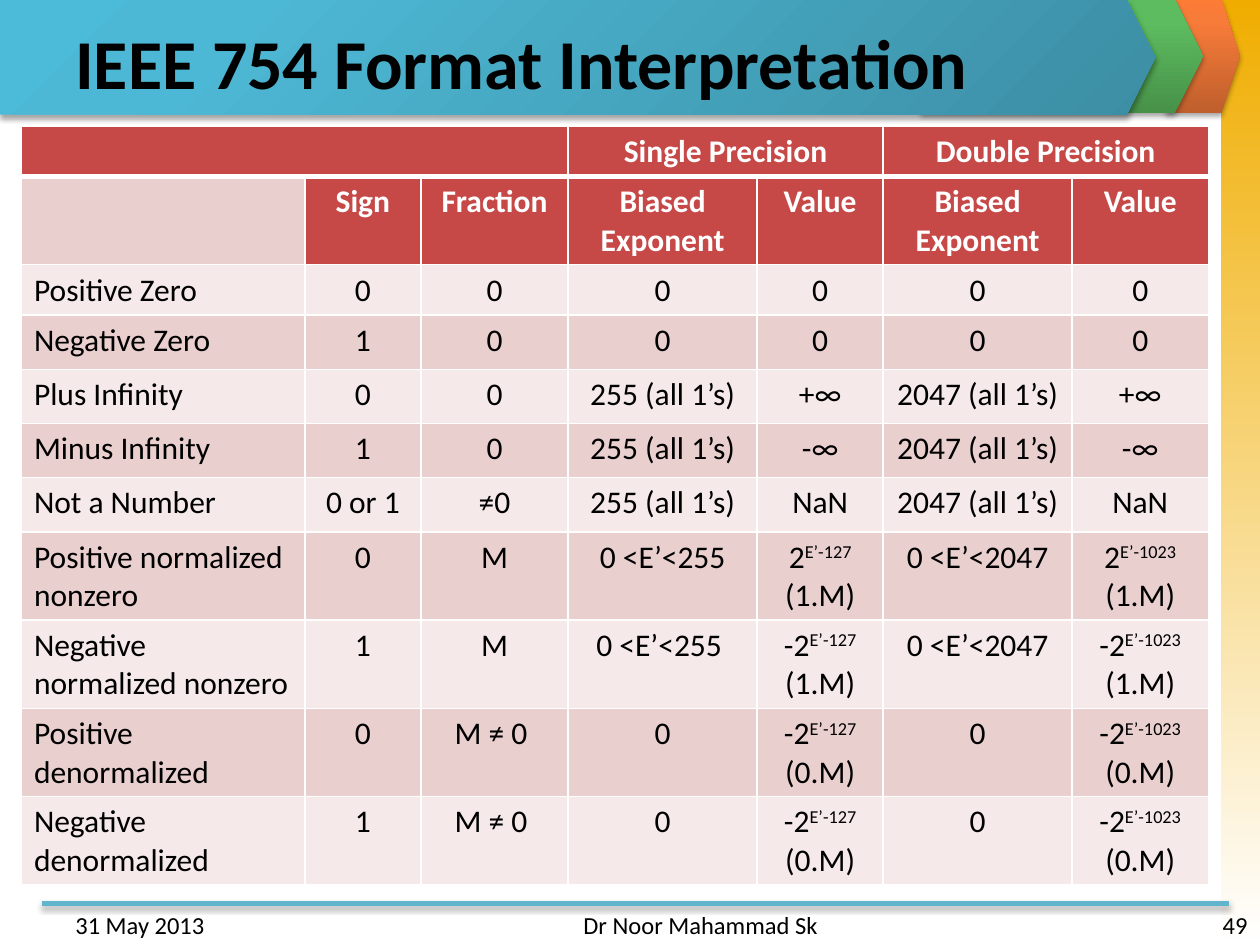
"""Build the slide on interpreting the IEEE 754 number format."""
from lxml import etree
from pptx import Presentation
from pptx.dml.color import RGBColor
from pptx.enum.shapes import MSO_CONNECTOR, MSO_SHAPE
from pptx.enum.text import MSO_ANCHOR, PP_ALIGN
from pptx.oxml import parse_xml
from pptx.util import Inches, Pt

BLACK = RGBColor(0x00, 0x00, 0x00)
WHITE = RGBColor(0xFF, 0xFF, 0xFF)
RED = RGBColor(0xC6, 0x48, 0x47)
ROSE = RGBColor(0xEA, 0xCF, 0xCF)
PALE = RGBColor(0xF5, 0xE9, 0xE9)
TEAL = RGBColor(0x60, 0xB5, 0xCC)
GOLD_FADE = ((0, RGBColor(0xF0, 0xAD, 0x00)), (100, WHITE))
ORANGE_FADE = ((0, RGBColor(0xBE, 0x5F, 0x2C)), (80, RGBColor(0xF7, 0x7B, 0x39)),
               (100, RGBColor(0xFC, 0x7B, 0x35)))
GREEN_FADE = ((0, RGBColor(0x47, 0x91, 0x49)), (80, RGBColor(0x5D, 0xBC, 0x5F)),
              (100, RGBColor(0x5B, 0xBF, 0x5E)))
BLUE_FADE = ((0, RGBColor(0x3C, 0x8E, 0xA4)), (80, RGBColor(0x4D, 0xB8, 0xD5)),
             (100, RGBColor(0x4B, 0xBB, 0xD9)))
NS = 'xmlns:a="http://schemas.openxmlformats.org/drawingml/2006/main"'
SHADOW = (f'<a:effectLst {NS}><a:outerShdw blurRad="39370" dist="22860" dir="5400000" '
          'rotWithShape="0"><a:srgbClr val="000000"><a:alpha val="35000"/></a:srgbClr>'
          '</a:outerShdw></a:effectLst>')
DOWN = '<a:lin ang="5400000" scaled="0"/>'
UP = '<a:lin ang="16200000" scaled="0"/>'
FROM_CORNER = '<a:path path="circle"><a:fillToRect l="100000" t="100000"/></a:path>'


def write(frame, text, size, color, bold, align):
    for index, line in enumerate(text.split("\n")):
        paragraph = frame.paragraphs[0] if index == 0 else frame.add_paragraph()
        paragraph.alignment = align
        for level, part in enumerate(line.split("^")):
            run = paragraph.add_run()
            run.text = part
            run.font.name = "Calibri"
            run.font.size = Pt(size)
            run.font.bold = bold
            run.font.color.rgb = color
            if level:
                run.font._element.set("baseline", "30000")


prs = Presentation()
prs.slide_width, prs.slide_height = Inches(10), Inches(7.5)
slide = prs.slides.add_slide(prs.slide_layouts[6])

side_bar = (MSO_SHAPE.RECTANGLE, 9.69, 0, 0.31, 7.5, GOLD_FADE, DOWN)
orange_arrow = (MSO_SHAPE.PENTAGON, 9.25, -0.01, 0.59, 0.91, ORANGE_FADE, UP)
green_arrow = (MSO_SHAPE.PENTAGON, 7.31, -0.01, 2.24, 0.91, GREEN_FADE, UP)
title_arrow = (MSO_SHAPE.PENTAGON, 0, 0, 9.17, 0.91, BLUE_FADE, FROM_CORNER)
for preset, left, top, width, height, fade, direction in (
        side_bar, orange_arrow, green_arrow, title_arrow):
    band = slide.shapes.add_shape(preset, Inches(left), Inches(top),
                                  Inches(width), Inches(height))
    band.shadow.inherit = False
    band.line.fill.background()
    stops = "".join(f'<a:gs pos="{place * 1000}"><a:srgbClr val="{color}"/></a:gs>'
                    for place, color in fade)
    properties = band._element.spPr
    properties.insert(2, parse_xml(
        f'<a:gradFill {NS} rotWithShape="1"><a:gsLst>{stops}</a:gsLst>{direction}</a:gradFill>'))
    if preset == MSO_SHAPE.PENTAGON:
        band.adjustments[0] = 0.25
        properties.remove(properties[-1])
        properties.append(parse_xml(SHADOW))

footer_rule = slide.shapes.add_connector(MSO_CONNECTOR.STRAIGHT, Inches(0.33), Inches(7.17),
                                         Inches(9.75), Inches(7.17))
footer_rule.line.color.rgb = TEAL
footer_rule.line.width = Pt(3)
footer_rule._element.spPr.append(parse_xml(SHADOW))

for text, left, top, width, height, size, bold, align, anchor in (
        ("IEEE 754 Format Interpretation", 0.5, 0.14, 9, 0.69, 40, True,
         PP_ALIGN.LEFT, MSO_ANCHOR.MIDDLE),
        ("31 May 2013", 0.5, 7.17, 2.33, 0.25, 14, False, PP_ALIGN.LEFT, MSO_ANCHOR.TOP),
        ("Dr Noor Mahammad Sk", 3.42, 7.17, 3.17, 0.25, 14, False,
         PP_ALIGN.RIGHT, MSO_ANCHOR.TOP),
        ("49", 7.67, 7.17, 2.33, 0.25, 14, False, PP_ALIGN.RIGHT, MSO_ANCHOR.TOP)):
    label = slide.shapes.add_textbox(Inches(left), Inches(top), Inches(width), Inches(height))
    label.text_frame.word_wrap = True
    label.text_frame.vertical_anchor = anchor
    write(label.text_frame, text, size, BLACK, bold, align)

ROWS = (
    ("", "", "", "Single Precision", "", "Double Precision", ""),
    ("", "Sign", "Fraction", "Biased Exponent", "Value", "Biased\nExponent", "Value"),
    ("Positive Zero", "0", "0", "0", "0", "0", "0"),
    ("Negative Zero", "1", "0", "0", "0", "0", "0"),
    ("Plus Infinity", "0", "0", "255 (all 1’s)", "+∞", "2047 (all 1’s)", "+∞"),
    ("Minus Infinity", "1", "0", "255 (all 1’s)", "-∞", "2047 (all 1’s)", "-∞"),
    ("Not a Number", "0 or 1", "≠0", "255 (all 1’s)", "NaN", "2047 (all 1’s)", "NaN"),
    ("Positive normalized nonzero", "0", "M", "0 <E’<255", "2^E’-127\n(1.M)",
     "0 <E’<2047", "2^E’-1023\n(1.M)"),
    ("Negative normalized nonzero", "1", "M", "0 <E’<255 ", "-2^E’-127\n(1.M)",
     "0 <E’<2047", "-2^E’-1023\n(1.M)"),
    ("Positive denormalized", "0", "M ≠ 0 ", "0", "-2^E’-127\n(0.M)", "0", "-2^E’-1023\n(0.M)"),
    ("Negative denormalized", "1", "M ≠ 0 ", "0", "-2^E’-127\n(0.M)", "0", "-2^E’-1023\n(0.M)"),
)
COLUMN_WIDTHS = (2.25, 0.92, 1.17, 1.5, 1, 1.5, 1.08)
ROW_HEIGHTS = (0.37, 0.66, 0.37) + (0.43,) * 8
formats = slide.shapes.add_table(len(ROWS), len(COLUMN_WIDTHS), Inches(0.17), Inches(1),
                                 Inches(9.42), Inches(6.02)).table
for column, width in zip(formats.columns, COLUMN_WIDTHS):
    column.width = Inches(width)
for row, height in zip(formats.rows, ROW_HEIGHTS):
    row.height = Inches(height)
for first, last in ((0, 2), (3, 4), (5, 6)):
    formats.cell(0, first).merge(formats.cell(0, last))

for r, values in enumerate(ROWS):
    for c, value in enumerate(values):
        cell = formats.cell(r, c)
        heading = r == 0 or (r == 1 and c > 0)
        cell.fill.solid()
        cell.fill.fore_color.rgb = RED if heading else ROSE if r % 2 else PALE
        borders = {"lnL": 1, "lnR": 1, "lnT": 3 if r == 1 else 1, "lnB": 3 if r == 0 else 1}
        for place, (side, points) in enumerate(borders.items()):
            cell._tc.tcPr.insert(place, etree.fromstring(
                f'<a:{side} {NS} w="{Pt(points)}"><a:solidFill><a:srgbClr val="{WHITE}"/>'
                f'</a:solidFill></a:{side}>'))
        if value:
            write(cell.text_frame, value, 18, WHITE if heading else BLACK, heading,
                  PP_ALIGN.CENTER if c else PP_ALIGN.LEFT)

prs.save("out.pptx")
